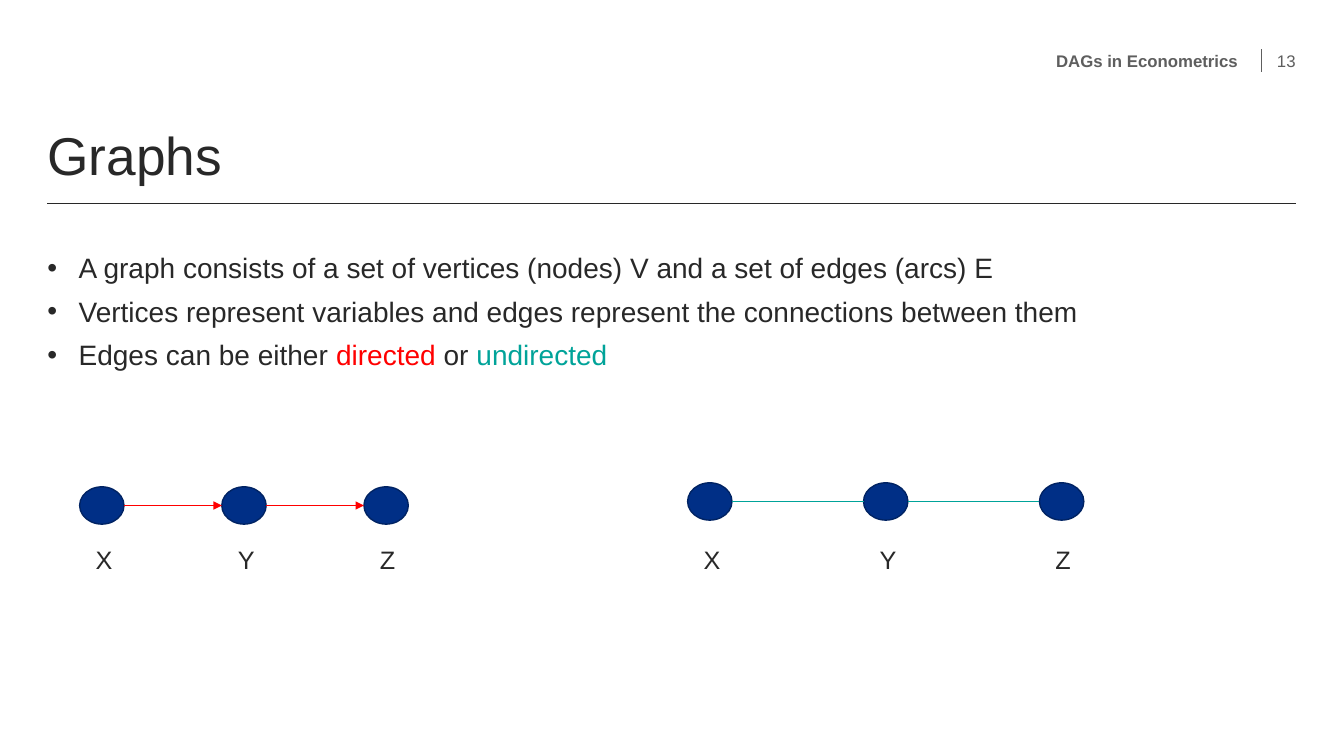
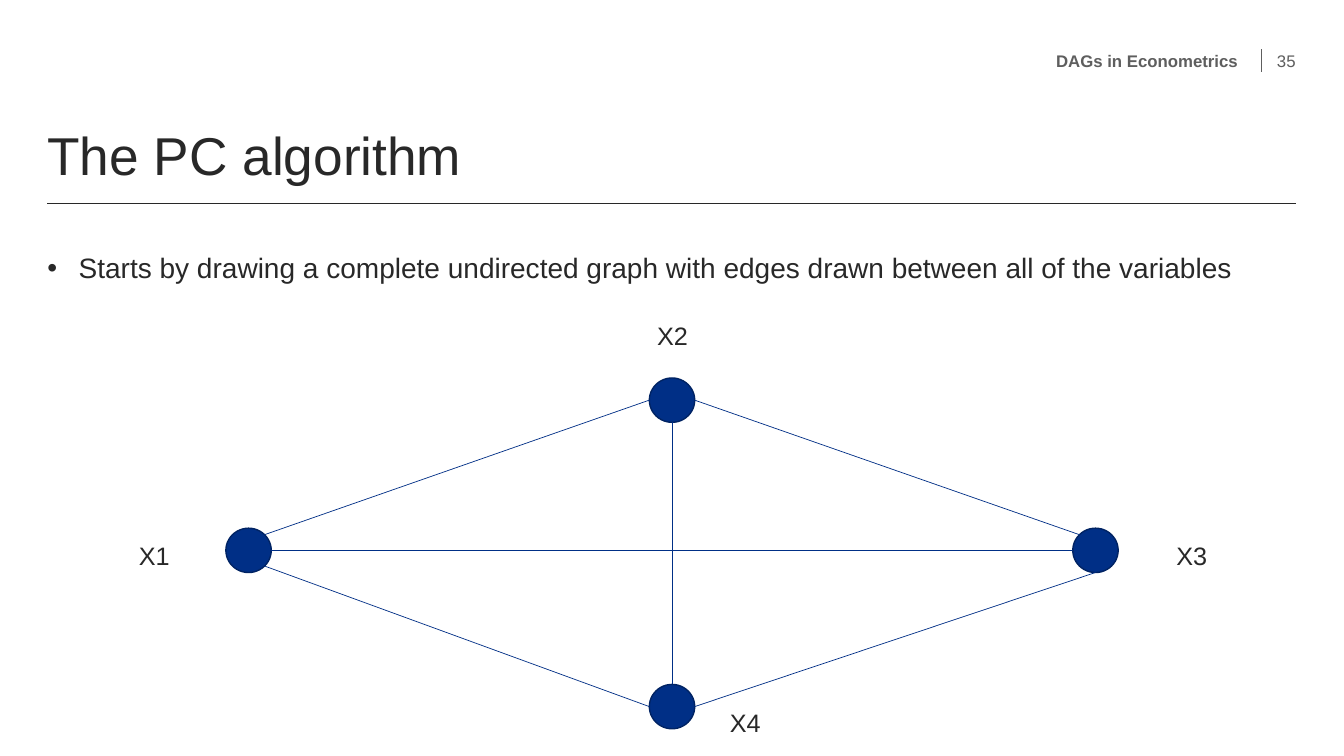
import math
from itertools import pairwise
from lxml import etree
from pptx import Presentation
from pptx import util as u
from pptx.dml.color import RGBColor
from pptx.enum import shapes, text
from pptx.oxml import ns

INK = RGBColor(0x28, 0x28, 0x28)
GREY = RGBColor(0x5E, 0x5E, 0x5E)
NAVY = RGBColor(0x00, 0x2F, 0x86)
NAVY_EDGE = RGBColor(0x00, 0x23, 0x63)
RED = RGBColor(0xFF, 0x00, 0x00)
TEAL = RGBColor(0x00, 0xA3, 0x99)

TOP, LEFT, LOWER_LEFT, BOTTOM, LOWER_RIGHT, RIGHT, UPPER_RIGHT = 0, 2, 3, 4, 5, 6, 7
UPPER_LEFT = 1
MARGIN, CONTENT_WIDTH = 0.47, 12.38


def add_text(slide, box, paragraphs, size, color=INK, bold=False, inset=0,
             anchor=text.MSO_ANCHOR.TOP, align=text.PP_ALIGN.LEFT):
    frame = slide.shapes.add_textbox(*map(u.Inches, box)).text_frame
    frame.word_wrap = inset == 0
    frame.vertical_anchor = anchor
    frame.margin_left = frame.margin_right = u.Inches(inset)
    frame.margin_top = frame.margin_bottom = u.Inches(inset / 2)
    for index, parts in enumerate(paragraphs):
        paragraph = frame.paragraphs[0] if index == 0 else frame.add_paragraph()
        paragraph.alignment = align
        for words, part_color in parts:
            run = paragraph.add_run()
            run.text = words
            run.font.name = "Arial"
            run.font.size = u.Pt(size)
            run.font.bold = bold
            run.font.color.rgb = part_color or color
    return frame


def add_line(slide, start, end, color, width=0.5, arrow=False):
    points, joints = [], []
    for tag, finish in (("a:stCxn", start), ("a:endCxn", end)):
        if isinstance(finish[0], (int, float)):
            points += map(u.Inches, finish)
            continue
        node, site = finish
        angle = math.radians(90 + 45 * site)
        points += [round(node.left + node.width / 2 * (1 + math.cos(angle))),
                   round(node.top + node.height / 2 * (1 - math.sin(angle)))]
        joints.append((tag, node.shape_id, site))
    line = slide.shapes.add_connector(shapes.MSO_CONNECTOR.STRAIGHT, *points)
    line.line.color.rgb = color
    line.line.width = u.Pt(width)
    if arrow:
        etree.SubElement(line.line._get_or_add_ln(), ns.qn("a:tailEnd"), type="triangle")
    etree.SubElement(line._element.spPr, ns.qn("a:effectLst"))
    joint_list = line._element.find(".//" + ns.qn("p:cNvCxnSpPr"))
    for tag, node_id, site in joints:
        etree.SubElement(joint_list, ns.qn(tag), id=str(node_id), idx=str(site))


deck = Presentation()
deck.slide_width, deck.slide_height = u.Inches(13.33), u.Inches(7.5)

contents = [
    ("Graphs", "13", [
        [("A graph consists of a set of vertices (nodes) V and a set of edges (arcs) E", None)],
        [("Vertices represent variables and edges represent the connections between them", None)],
        [("Edges can be either ", None), ("directed", RED), (" or ", None), ("undirected", TEAL)],
    ], [
        (0.79 + 1.41 * i, 4.83, 0.44, 0.37, name, 0.06, 0.52, 0.32)
        for i, name in enumerate("XYZ")
    ] + [
        (6.82 + 1.745 * i, 4.79, 0.44, 0.37, name, 0.06, 0.56, 0.32)
        for i, name in enumerate("XYZ")
    ], [
        (a, RIGHT, b, LEFT, color, color == RED)
        for first, color in ((0, RED), (3, TEAL))
        for a, b in pairwise(range(first, first + 3))
    ]),
    ("The PC algorithm", "35", [
        [("Starts by drawing a complete undirected graph with edges drawn between all of the variables",
          None)],
    ], [
        (2.24, 5.24, 0.45, 0.44, "X1", -0.96, 0.07, 0.57),
        (6.44, 3.75, 0.45, 0.44, "X2", -0.02, -0.62, 0.57),
        (10.64, 5.24, 0.45, 0.44, "X3", 0.93, 0.07, 0.57),
        (6.44, 6.79, 0.45, 0.44, "X4", 0.7, 0.18, 0.57),
    ], [
        (0, UPPER_RIGHT, 1, LEFT, NAVY, False),
        (0, LOWER_RIGHT, 3, LEFT, NAVY, False),
        (3, RIGHT, 2, BOTTOM, NAVY, False),
        (1, RIGHT, 2, UPPER_LEFT, NAVY, False),
        (0, RIGHT, 2, LEFT, NAVY, False),
        (1, BOTTOM, 3, TOP, NAVY, False),
    ]),
]

for title, number, bullets, vertices, edges in contents:
    slide = deck.slides.add_slide(deck.slide_layouts[6])
    add_line(slide, (MARGIN, 2.02), (MARGIN + CONTENT_WIDTH, 2.02), INK, 1)
    add_line(slide, (12.51, 0.71), (12.51, 0.49), GREY, 1)

    heading = add_text(slide, (MARGIN, 1.25, CONTENT_WIDTH, 0.61), [[(title, None)]], 38,
                       anchor=text.MSO_ANCHOR.BOTTOM)
    heading.paragraphs[0].line_spacing = 0.9
    for left, width, words, bold in ((4.42, 7.86, "DAGs in Econometrics", True),
                                     (12.56, 0.29, number, False)):
        add_text(slide, (left, 0.49, width, 0.23), [[(words, None)]], 12, GREY, bold,
                 anchor=text.MSO_ANCHOR.MIDDLE, align=text.PP_ALIGN.RIGHT)

    body = add_text(slide, (MARGIN, 2.49, CONTENT_WIDTH, 4.53), bullets, 20)
    for paragraph in body.paragraphs:
        paragraph.space_before = u.Pt(7)
        properties = paragraph._p.get_or_add_pPr()
        properties.set("marL", str(u.Inches(0.31)))
        properties.set("indent", str(-u.Inches(0.31)))
        etree.SubElement(properties, ns.qn("a:buFont"), typeface="Arial")
        etree.SubElement(properties, ns.qn("a:buChar"), char="•")

    nodes = []
    for left, top, width, height, name, label_dx, label_dy, label_width in vertices:
        node = slide.shapes.add_shape(shapes.MSO_SHAPE.OVAL,
                                      *map(u.Inches, (left, top, width, height)))
        node.shadow.inherit = False
        node.fill.solid()
        node.fill.fore_color.rgb = NAVY
        node.line.color.rgb = NAVY_EDGE
        node.line.width = u.Pt(1)
        nodes.append(node)
        add_text(slide, (left + label_dx, top + label_dy, label_width, 0.4),
                 [[(name, None)]], 18, inset=0.1)

    for start, start_site, end, end_site, color, arrow in edges:
        add_line(slide, (nodes[start], start_site), (nodes[end], end_site), color, arrow=arrow)

deck.save("out.pptx")
